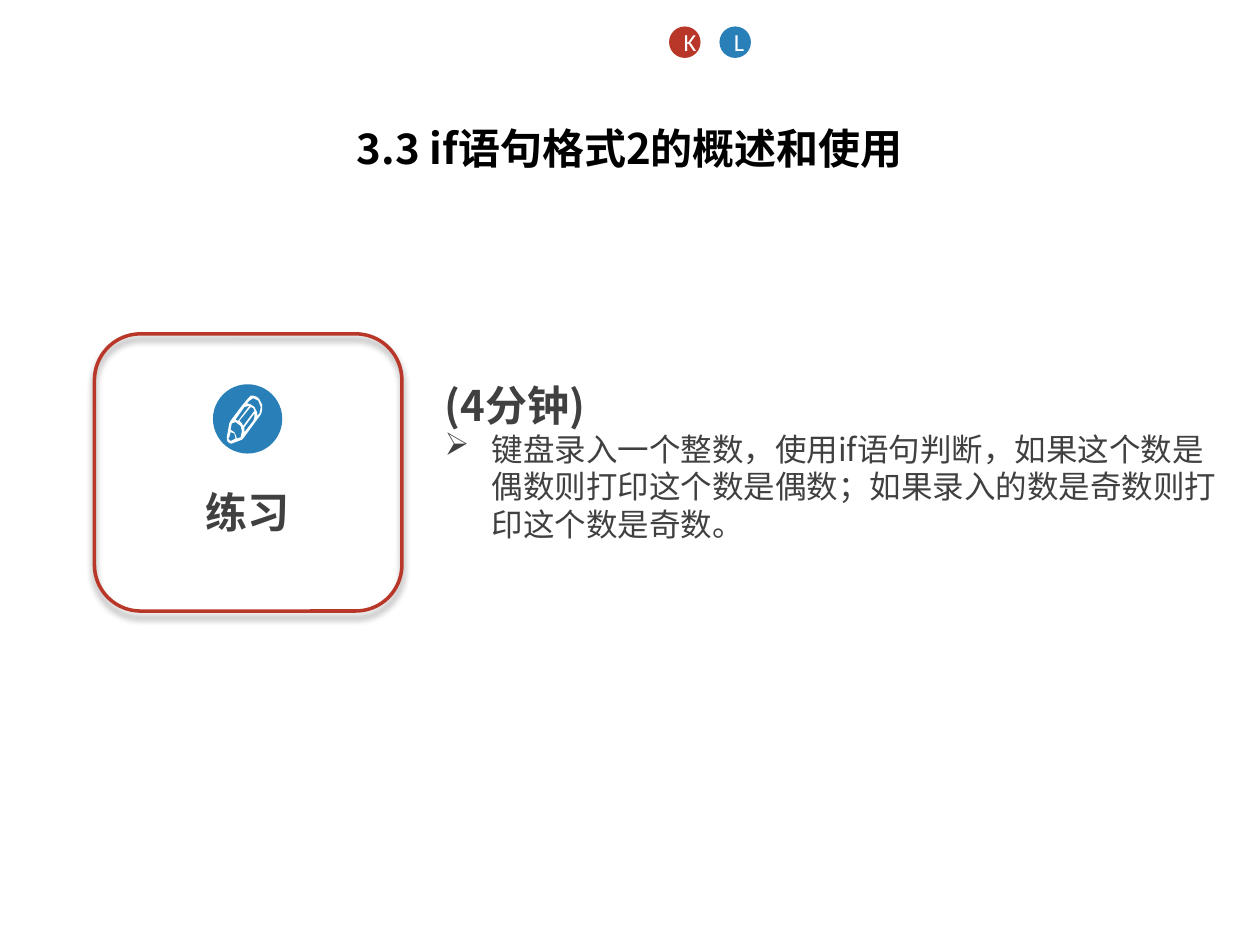
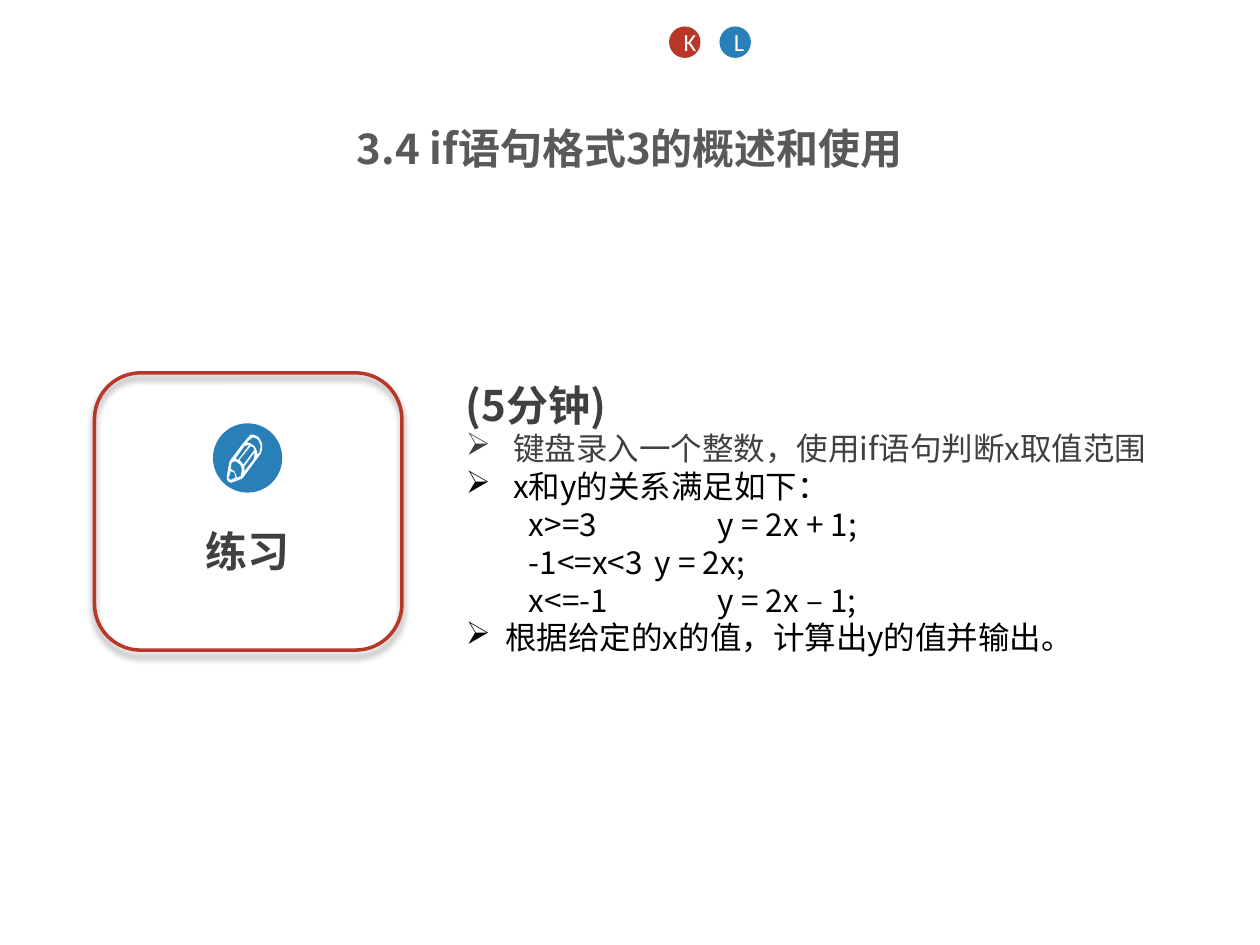
import dataclasses

import lxml.etree
import pptx
import pptx.dml.color
import pptx.enum.shapes
import pptx.enum.text
import pptx.oxml.ns
import pptx.shapes.autoshape
import pptx.slide
import pptx.text.text
import pptx.util

SLIDE_WIDTH = pptx.util.Inches(10)
SLIDE_HEIGHT = pptx.util.Inches(7.5)
COLUMNS = 100
CELL = SLIDE_WIDTH / COLUMNS

RED = "B83729"
BLUE = "2980B9"
WHITE = "FFFFFF"
BLACK = "000000"
DARK = "404040"
GREY = "595959"
CJK_FONT = "Noto Sans CJK SC"
LATIN_FONT = "Calibri"
OVAL = pptx.enum.shapes.MSO_SHAPE.OVAL
ROUNDED = pptx.enum.shapes.MSO_SHAPE.ROUNDED_RECTANGLE
CENTER = pptx.enum.text.PP_ALIGN.CENTER

PENCIL_CONTOURS = (
    ((26, 3), (24, 1), (21, 0), (19, 0), (17, 2), (12, 8), (3, 20), (2, 22), (0, 33),
     (0, 35), (1, 37), (3, 38), (4, 38), (12, 35), (13, 34), (27, 15), (28, 12), (28, 7)),
    ((26, 14), (24, 16), (24, 13), (22, 9), (19, 7), (16, 6), (18, 4), (21, 2), (25, 4), (27, 9)),
    ((8, 34), (7, 31), (6, 29), (3, 27), (4, 22), (7, 21), (11, 24), (12, 28), (11, 33)),
    ((3, 36), (1, 34), (2, 33), (3, 29), (6, 30), (7, 34)),
    ((9, 20), (7, 19), (14, 9), (18, 8)),
    ((13, 24), (12, 22), (10, 20), (19, 9), (21, 10), (22, 12)),
    ((14, 28), (14, 25), (22, 14), (22, 17), (21, 20), (14, 29)),
)


@dataclasses.dataclass(frozen=True)
class Area:
    column: float
    row: float
    columns: float
    rows: float

    def lengths(self) -> tuple[int, ...]:
        return tuple(grid(value) for value in dataclasses.astuple(self))


@dataclasses.dataclass(frozen=True)
class Style:
    size: float
    color: str
    bold: bool = False
    font: str = CJK_FONT


@dataclasses.dataclass(frozen=True)
class Line:
    text: str
    style: Style
    hanging: float = 0


@dataclasses.dataclass(frozen=True)
class Badge:
    letter: str
    color: str
    column: float


@dataclasses.dataclass(frozen=True)
class Exercise:
    title: str
    title_color: str
    card_row: float
    body: Area
    lines: tuple[Line, ...]


HEADING = Style(24, DARK, True)
DARK_BODY = Style(18, DARK)
BLACK_BODY = Style(18, BLACK)
BADGES = (Badge("K", RED, 53.1), Badge("L", BLUE, 57.1))

EXERCISES = (
    Exercise("3.3 if语句格式2的概述和使用", BLACK, 26.5, Area(34.3, 29.6, 63.7, 17.2), (
        Line("(4分钟)", HEADING),
        Line("键盘录入一个整数，使用if语句判断，如果这个数是偶数则打印这个数是偶数；"
             "如果录入的数是奇数则打印这个数是奇数。", DARK_BODY, 3.75),
    )),
    Exercise("3.4 if语句格式3的概述和使用", GREY, 29.6, Area(36, 29.6, 63.7, 32.3), (
        Line("(5分钟)", HEADING),
        Line("键盘录入一个整数，使用if语句判断x取值范围", DARK_BODY, 3.75),
        Line("x和y的关系满足如下：", BLACK_BODY, 3.75),
        Line("\tx>=3\t\ty = 2x + 1;", BLACK_BODY),
        Line("\t-1<=x<3\ty = 2x;", BLACK_BODY),
        Line("\tx<=-1\t\ty = 2x – 1;", BLACK_BODY),
        Line("根据给定的x的值，计算出y的值并输出。", BLACK_BODY, 3.13),
    )),
)


def grid(cells: float) -> int:
    return round(cells * CELL)


def color(value: str) -> pptx.dml.color.RGBColor:
    return pptx.dml.color.RGBColor.from_string(value)


def add_child(parent: lxml.etree._Element, tag: str, **attributes: str) -> lxml.etree._Element:
    return lxml.etree.SubElement(parent, pptx.oxml.ns.qn(tag), attributes)


def add_span(para: pptx.text.text._Paragraph, text: str, style: Style) -> None:
    span = para.add_run()
    span.text = text
    span.font.size = pptx.util.Pt(style.size)
    span.font.bold = style.bold
    span.font.color.rgb = color(style.color)
    span.font.name = style.font
    add_child(span.font._element, "a:ea", typeface=style.font)


def add_bullet(para: pptx.text.text._Paragraph, hanging: float) -> None:
    properties = para._p.get_or_add_pPr()
    properties.set("marL", str(grid(hanging)))
    properties.set("indent", str(-grid(hanging)))
    add_child(properties, "a:buChar", char="➢")


def add_text(page: pptx.slide.Slide, area: Area, lines: tuple[Line, ...]) -> pptx.text.text.TextFrame:
    frame = page.shapes.add_textbox(*area.lengths()).text_frame
    frame.word_wrap = True
    for index, line in enumerate(lines):
        para = frame.add_paragraph() if index else frame.paragraphs[0]
        if line.hanging:
            add_bullet(para, line.hanging)
        add_span(para, line.text, line.style)
    return frame


def add_disc(page: pptx.slide.Slide, area: Area, fill: str) -> pptx.shapes.autoshape.Shape:
    disc = page.shapes.add_shape(OVAL, *area.lengths())
    disc.shadow.inherit = False
    disc.fill.solid()
    disc.fill.fore_color.rgb = color(fill)
    disc.line.fill.background()
    return disc


def add_badge(page: pptx.slide.Slide, badge: Badge) -> None:
    disc = add_disc(page, Area(badge.column, 2.1, 2.5, 2.5), badge.color)
    para = disc.text_frame.paragraphs[0]
    para.alignment = CENTER
    add_span(para, badge.letter, Style(14, WHITE, font=LATIN_FONT))


def add_title(page: pptx.slide.Slide, text: str, title_color: str) -> None:
    line = Line(text, Style(24, title_color, True))
    frame = add_text(page, Area(0, 9.2, COLUMNS, 4.7), (line,))
    frame.paragraphs[0].alignment = CENTER


def add_pencil(page: pptx.slide.Slide, column: float, row: float) -> None:
    first, *others = PENCIL_CONTOURS
    builder = page.shapes.build_freeform(*first[0], scale=CELL / 10)
    builder.add_line_segments(first[1:], close=True)
    for contour in others:
        builder.move_to(*contour[0])
        builder.add_line_segments(contour[1:], close=True)
    pencil = builder.convert_to_shape(grid(column), grid(row))
    pencil.shadow.inherit = False
    pencil.fill.solid()
    pencil.fill.fore_color.rgb = color(WHITE)
    pencil.line.fill.background()


def add_soft_shadow(shape: pptx.shapes.autoshape.Shape) -> None:
    shape.shadow.inherit = False
    effects = shape._element.spPr.find(pptx.oxml.ns.qn("a:effectLst"))
    shadow = add_child(effects, "a:outerShdw", blurRad=str(pptx.util.Pt(4)),
                       dist=str(pptx.util.Pt(3)), dir="5400000", rotWithShape="0")
    tint = add_child(shadow, "a:srgbClr", val=BLACK)
    add_child(tint, "a:alpha", val="40000")


def add_practice_card(page: pptx.slide.Slide, row: float) -> None:
    label = add_text(page, Area(15.3, row + 12.1, 8.7, 4.5), (Line("练习", HEADING),))
    label.paragraphs[0].line_spacing = 0.9
    add_disc(page, Area(16.9, row + 4, 5.5, 5.5), BLUE)
    add_pencil(page, 18, row + 4.9)
    border = page.shapes.add_shape(ROUNDED, *Area(7.5, row, 24.4, 22).lengths())
    border.fill.background()
    border.line.color.rgb = color(RED)
    border.line.width = pptx.util.Pt(2)
    add_soft_shadow(border)


def add_exercise(page: pptx.slide.Slide, exercise: Exercise) -> None:
    body = add_text(page, exercise.body, exercise.lines)
    body.auto_size = pptx.enum.text.MSO_AUTO_SIZE.SHAPE_TO_FIT_TEXT
    add_practice_card(page, exercise.card_row)
    for badge in BADGES:
        add_badge(page, badge)
    add_title(page, exercise.title, exercise.title_color)


def main() -> None:
    deck = pptx.Presentation()
    deck.slide_width = SLIDE_WIDTH
    deck.slide_height = SLIDE_HEIGHT
    for exercise in EXERCISES:
        add_exercise(deck.slides.add_slide(deck.slide_layouts[6]), exercise)
    deck.save("out.pptx")


if __name__ == "__main__":
    main()
